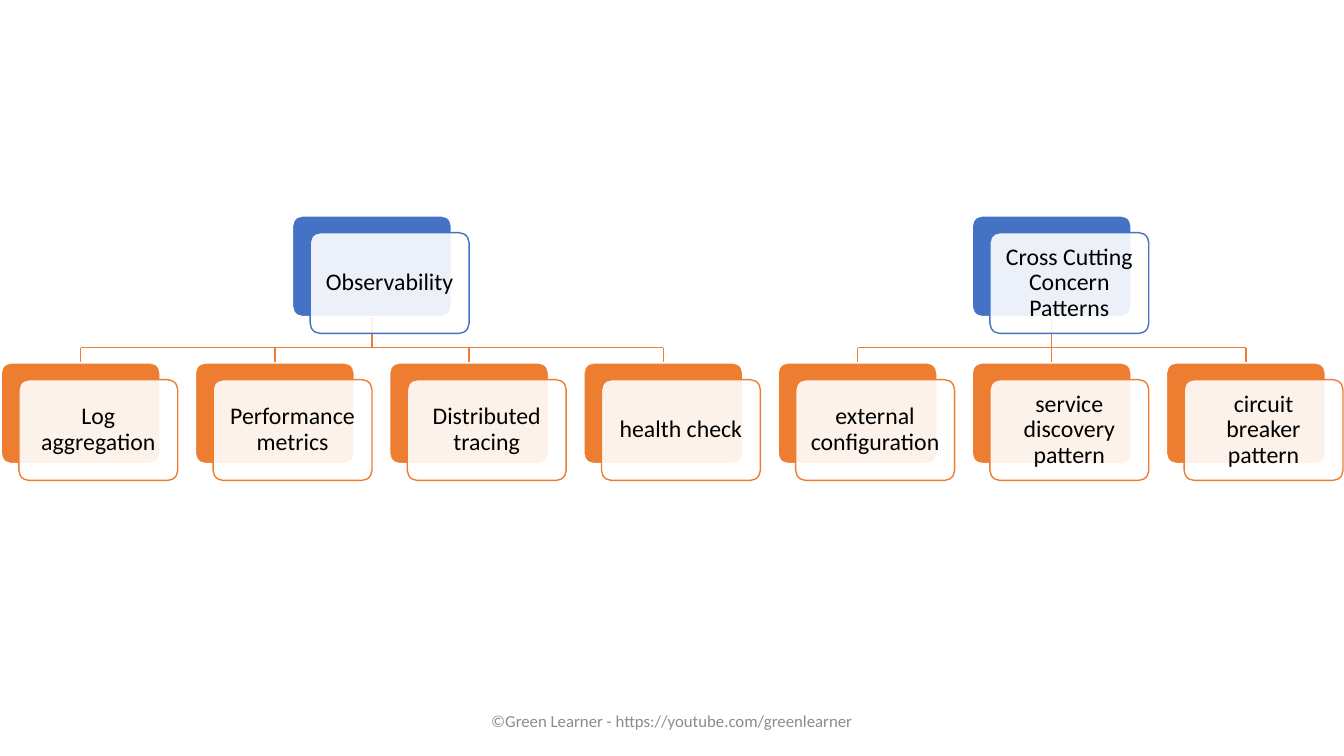
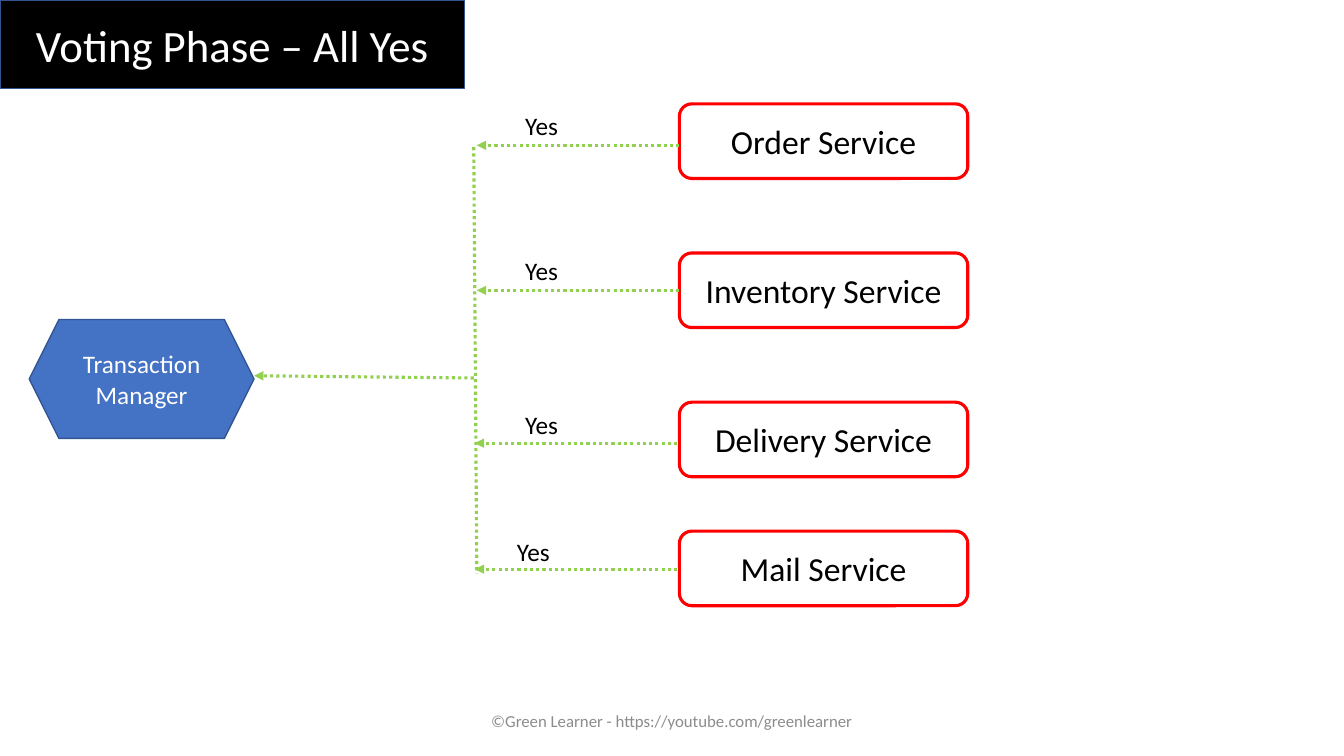
from lxml import etree
from pptx import Presentation
from pptx.dml.color import RGBColor
from pptx.enum.dml import MSO_LINE
from pptx.enum.shapes import MSO_CONNECTOR, MSO_SHAPE
from pptx.enum.text import MSO_ANCHOR, MSO_AUTO_SIZE, PP_ALIGN
from pptx.oxml.ns import qn
from pptx.util import Pt

ROUND, HEX = MSO_SHAPE.ROUNDED_RECTANGLE, MSO_SHAPE.HEXAGON
STRAIGHT, DOTS = MSO_CONNECTOR.STRAIGHT, MSO_LINE.ROUND_DOT
LEFT, CENTER = PP_ALIGN.LEFT, PP_ALIGN.CENTER
MIDDLE, FIXED = MSO_ANCHOR.MIDDLE, MSO_AUTO_SIZE.NONE

FONT = "Calibri"
BLACK, WHITE, GRAY = "000000", "FFFFFF", "8C8C8C"
BLUE, NAVY, ORANGE = "4472C4", "325491", "ED7D31"
RED, GREEN = "FF0000", "92D050"
FOOTER = "©Green Learner - https://youtube.com/greenlearner"

# Tree grid: node size, column pitch, level tops and card offset
NODE_W, NODE_H, PITCH, EDGE = 113.5, 72, 138.72, 0.9
TOP, LOW, BUS = 154.2, 259.2, 248.4
SHIFT_X, SHIFT_Y = 12.6, 12

TREES = [
    ("Observability", ["Log aggregation", "Performance metrics",
                       "Distributed tracing", "health check"]),
    ("Cross Cutting Concern Patterns",
     ["external configuration", "service discovery pattern",
      "circuit breaker pattern"]),
]

# Service, box top, arrow height, arrow start and end, label left and top
VOTES = [
    ("Order Service", 74.2, 103.8, 485.3, 340.6, 368, 74.9),
    ("Inventory Service", 180.7, 207.4, 485.3, 340.6, 368, 178.6),
    ("Delivery Service", 287.3, 316.6, 483.8, 339.1, 368, 288.7),
    ("Mail Service", 379.4, 406.6, 483.8, 339.1, 362.2, 379.4),
]


def rgb(code):
    return RGBColor.from_string(code)


def write(shape, text, size, color, align=CENTER, anchor=MIDDLE, space=1.0):
    frame = shape.text_frame
    frame.text = text
    frame.word_wrap = True
    frame.auto_size = FIXED
    frame.vertical_anchor = anchor
    par = frame.paragraphs[0]
    par.alignment = align
    par.line_spacing = space
    font = par.runs[0].font
    font.name, font.size = FONT, Pt(size)
    font.color.rgb = rgb(color)


def paint(shape, fill, line, width=1):
    shape.fill.solid()
    shape.fill.fore_color.rgb = rgb(fill)
    shape.line.color.rgb = rgb(line)
    shape.line.width = Pt(width)


def box(slide, kind, x, y, w, h, fill, line, width=1):
    shape = slide.shapes.add_shape(kind, Pt(x), Pt(y), Pt(w), Pt(h))
    shape.shadow.inherit = False
    paint(shape, fill, line, width)
    return shape


def label(slide, text, x, y, w, h, size, color, align=LEFT, anchor=MIDDLE):
    shape = slide.shapes.add_textbox(Pt(x), Pt(y), Pt(w), Pt(h))
    write(shape, text, size, color, align, anchor)


def line(slide, x1, y1, x2, y2, color, width=1, dash=None, arrow=False):
    link = slide.shapes.add_connector(STRAIGHT, Pt(x1), Pt(y1), Pt(x2), Pt(y2))
    link.line.color.rgb = rgb(color)
    link.line.width = Pt(width)
    if dash:
        link.line.dash_style = dash
    props = link._element.spPr
    if arrow:
        etree.SubElement(props.find(qn("a:ln")), qn("a:tailEnd"), type="triangle")
    etree.SubElement(props, qn("a:effectLst"))


def vote(slide, x1, y1, x2, y2, arrow=True):
    line(slide, x1, y1, x2, y2, GREEN, 2.25, DOTS, arrow)


def footer(slide):
    label(slide, FOOTER, 318, 500.5, 324, 28.75, 12, GRAY, CENTER)


def node(slide, text, col, y, color):
    """Draw a solid back plate with a translucent card in front."""
    x = EDGE + col * PITCH
    back = box(slide, ROUND, x, y, NODE_W, NODE_H, color, WHITE)
    card = box(slide, ROUND, x + SHIFT_X, y + SHIFT_Y, NODE_W, NODE_H,
               WHITE, color)
    for shape in (back, card):
        shape.adjustments[0] = 0.1
    tint = card._element.spPr.find(qn("a:solidFill")).find(qn("a:srgbClr"))
    etree.SubElement(tint, qn("a:alpha"), val="90000")
    write(card, text, 17, BLACK, space=0.9)


def tree(slide, root, kids, start):
    """Draw a root centred over its children, from column start."""
    last = start + len(kids) - 1
    mid = (start + last) / 2

    def center(col):
        return EDGE + col * PITCH + NODE_W / 2

    line(slide, center(mid), TOP + NODE_H, center(mid), BUS, ORANGE)
    line(slide, center(start), BUS, center(last), BUS, ORANGE)
    for col in range(start, last + 1):
        line(slide, center(col), BUS, center(col), LOW, ORANGE)
    node(slide, root, mid, TOP, BLUE)
    for col, kid in enumerate(kids, start):
        node(slide, kid, col, LOW, ORANGE)


def title(slide, text, w, h):
    shape = slide.shapes.title
    shape.left, shape.top, shape.width, shape.height = 0, 0, Pt(w), Pt(h)
    paint(shape, BLACK, NAVY)
    write(shape, text, 32, WHITE)


def patterns(deck):
    slide = deck.slides.add_slide(deck.slide_layouts[6])
    start = 0
    for root, kids in TREES:
        tree(slide, root, kids, start)
        start += len(kids)
    footer(slide)


def voting(deck):
    slide = deck.slides.add_slide(deck.slide_layouts[5])
    title(slide, "Voting Phase – All Yes", 332, 63.2)
    footer(slide)
    hub = box(slide, HEX, 20.9, 228.2, 160.6, 85, BLUE, NAVY)
    write(hub, "Transaction Manager", 18, WHITE)
    vote(slide, 338.4, 270, 181.5, 268.4)
    vote(slide, 338.4, 105.1, 340.6, 409.7, arrow=False)
    for name, top, y, x1, x2, left, high in VOTES:
        shape = box(slide, ROUND, 485.3, top, 206, 53.3, WHITE, RED, 2.25)
        write(shape, name, 24, BLACK)
        label(slide, "Yes", left, high, 54.7, 29, 18, BLACK)
        vote(slide, x1, y, x2, y)


def main():
    deck = Presentation()
    deck.slide_width, deck.slide_height = Pt(960), Pt(540)
    patterns(deck)
    voting(deck)
    deck.save("out.pptx")


if __name__ == "__main__":
    main()
